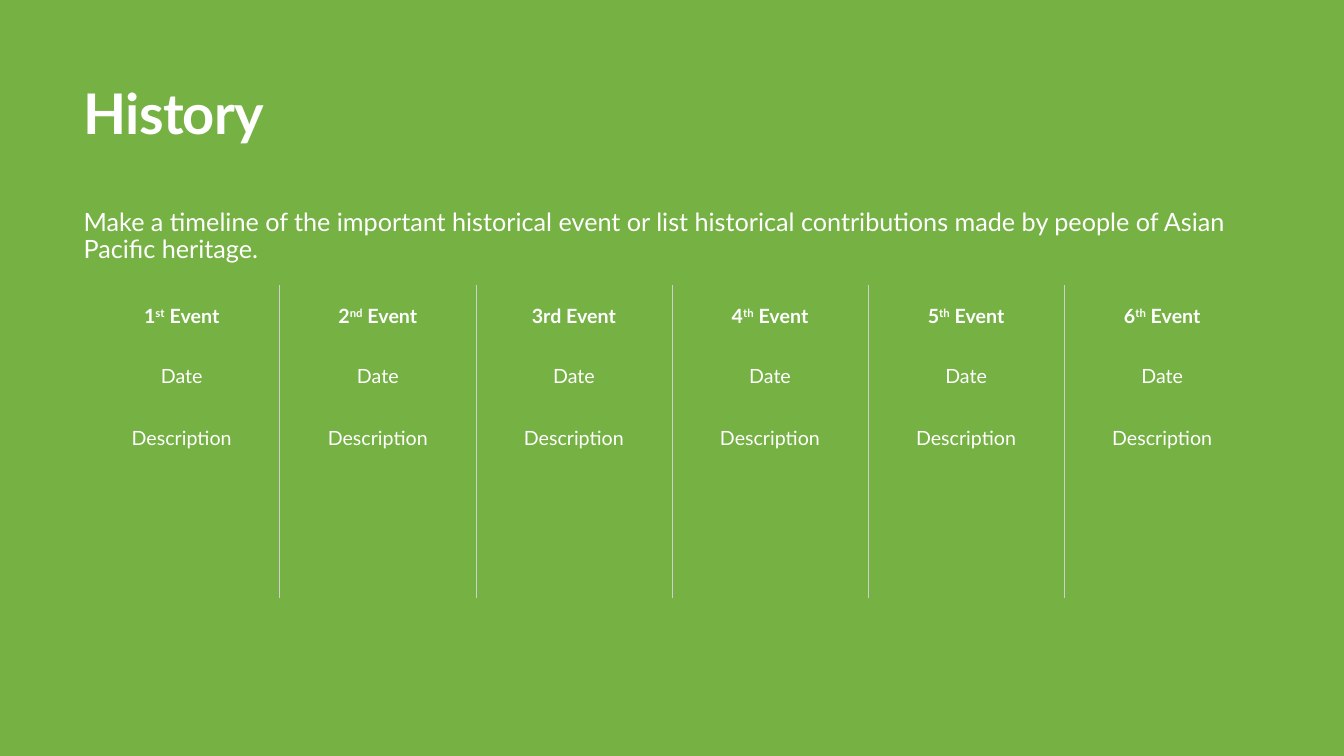
from lxml import etree
from pptx import Presentation
from pptx.dml.color import RGBColor
from pptx.enum.text import MSO_ANCHOR, PP_ALIGN
from pptx.oxml.ns import qn
from pptx.util import Inches, Pt

GREEN = RGBColor(0x76, 0xB1, 0x44)
WHITE = RGBColor(0xFF, 0xFF, 0xFF)
RULE_GREY = RGBColor(0xCF, 0xCF, 0xCF)
TOP, MIDDLE, BOTTOM = MSO_ANCHOR.TOP, MSO_ANCHOR.MIDDLE, MSO_ANCHOR.BOTTOM
CENTER = PP_ALIGN.CENTER

TITLE_FORMAT = {"name": "Lato", "size": Pt(40), "bold": True}
BODY_FORMAT = {"name": "Lato", "size": Pt(18), "bold": False}
HEADING_FORMAT = {"name": "Lato", "size": Pt(14), "bold": True}
CELL_FORMAT = {"name": "Lato", "size": Pt(14), "bold": False}

INTRODUCTION = ("Make a timeline of the important historical event or list historical "
                "contributions made by people of Asian Pacific heritage.")
# Each heading: number, raised ending, rest
EVENTS = [("1", "st", " Event"), ("2", "nd", " Event"), ("3rd Event",),
          ("4", "th", " Event"), ("5", "th", " Event"), ("6", "th", " Event")]
ROW_HEIGHTS = [0.6, 0.6, 1.9]


def add_run(paragraph, text, text_format):
    run = paragraph.add_run()
    run.text = text
    for name, value in text_format.items():
        setattr(run.font, name, value)
    run.font.color.rgb = WHITE
    return run


def add_text(slide, box, text, text_format, anchor):
    shape = slide.shapes.add_textbox(*map(Inches, box))
    frame = shape.text_frame
    frame.word_wrap = True
    frame.vertical_anchor = anchor
    for side in ("left", "top", "right", "bottom"):
        setattr(frame, f"margin_{side}", 0)
    paragraph = frame.paragraphs[0]
    return paragraph, add_run(paragraph, text, text_format)


def add_title(slide, box):
    _, run = add_text(slide, box, "History", TITLE_FORMAT, BOTTOM)
    run.font._element.set("spc", "-50")


def add_introduction(slide, box):
    paragraph, _ = add_text(slide, box, INTRODUCTION, BODY_FORMAT, TOP)
    paragraph.line_spacing = 0.9


def set_borders(cell, visible_sides):
    properties = cell._tc.get_or_add_tcPr()
    for side in "LRTB":
        line = etree.SubElement(properties, qn(f"a:ln{side}"), w=str(Pt(0.5)))
        if side in visible_sides:
            fill = etree.SubElement(line, qn("a:solidFill"))
            etree.SubElement(fill, qn("a:srgbClr"), val=str(RULE_GREY))
        else:
            etree.SubElement(line, qn("a:noFill"))


def add_timeline(slide, box):
    left, top, width, height = map(Inches, box)
    table = slide.shapes.add_table(len(ROW_HEIGHTS), len(EVENTS),
                                   left, top, width, height).table
    table.first_row = table.horz_banding = False
    for row, row_height in zip(table.rows, ROW_HEIGHTS):
        row.height = Inches(row_height)

    last_column = len(EVENTS) - 1
    for column, heading in enumerate(EVENTS):
        # Rules only between columns
        sides = ("L" if column > 0 else "") + ("R" if column < last_column else "")
        for row, parts in enumerate([heading, ("Date",), ("Description",)]):
            cell = table.cell(row, column)
            set_borders(cell, sides)
            cell.fill.background()
            cell.vertical_anchor = MIDDLE
            paragraph = cell.text_frame.paragraphs[0]
            paragraph.alignment = CENTER
            for index, text in enumerate(parts):
                run = add_run(paragraph, text, CELL_FORMAT if row else HEADING_FORMAT)
                if index == 1:
                    run.font._element.set("baseline", "30000")
        # Descriptions start at the top of the tall row
        cell.vertical_anchor = TOP
        cell.margin_top = Inches(0.2)


def main():
    presentation = Presentation()
    presentation.slide_width = Inches(13.33)
    presentation.slide_height = Inches(7.5)
    slide = presentation.slides.add_slide(presentation.slide_layouts[6])
    slide.background.fill.solid()
    slide.background.fill.fore_color.rgb = GREEN

    left, width = 0.83, 11.67
    add_title(slide, (left, 0.78, width, 0.67))
    add_introduction(slide, (left, 2.08, width, 0.75))
    add_timeline(slide, (left, 2.83, width, sum(ROW_HEIGHTS)))
    presentation.save("out.pptx")


if __name__ == "__main__":
    main()
